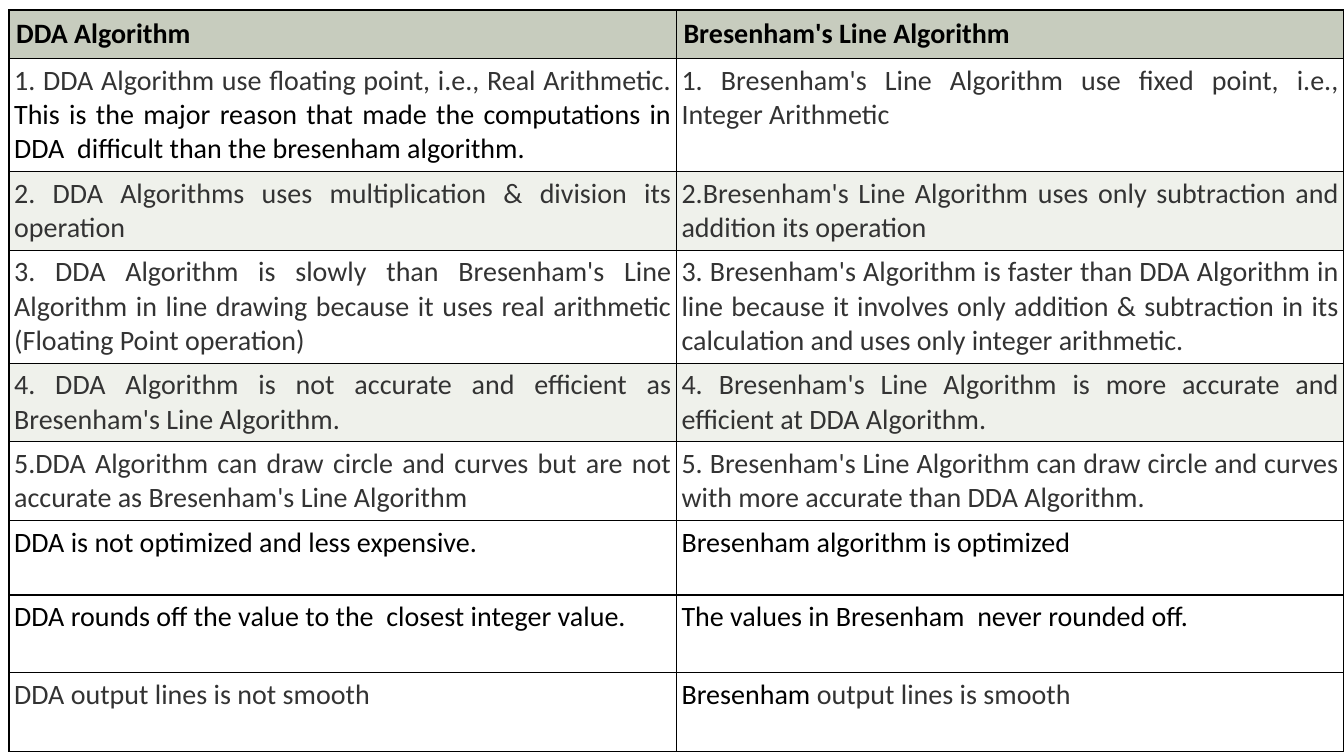
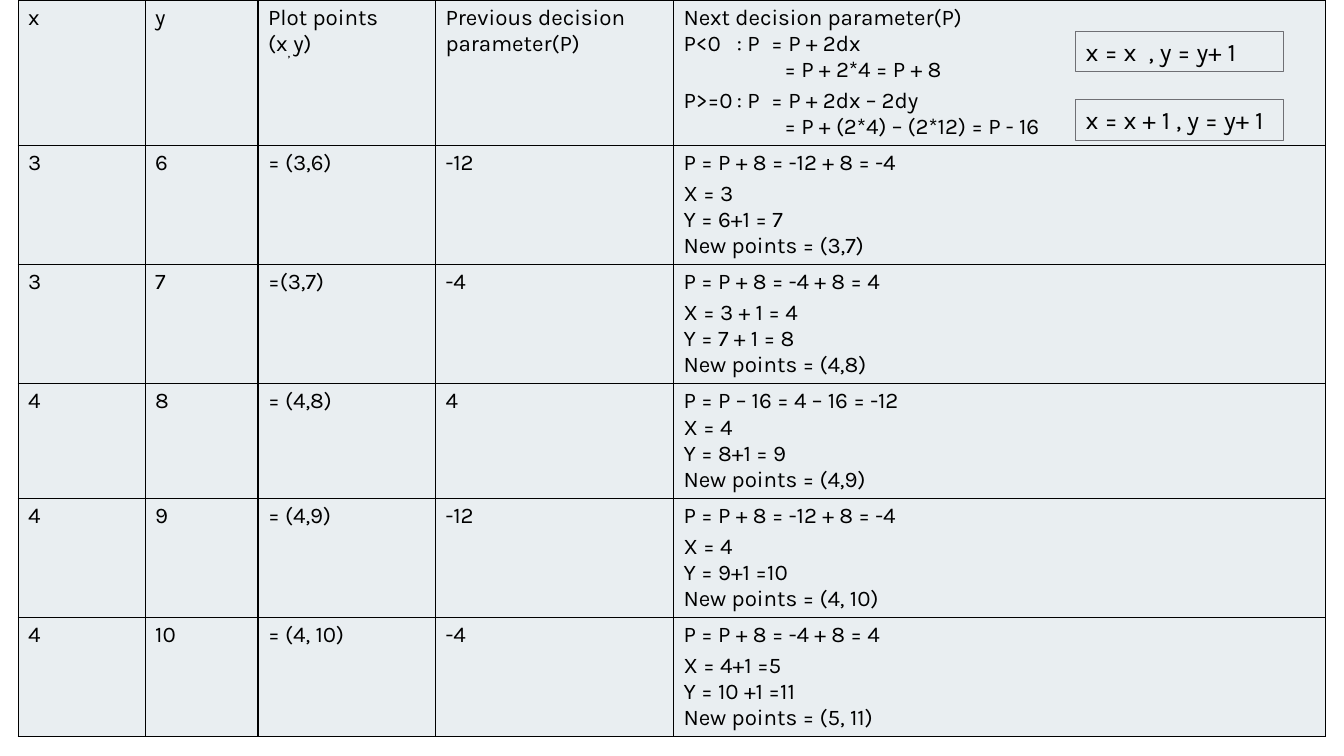
from pptx import Presentation
from pptx import util as u
from pptx.dml.color import RGBColor
from pptx.enum import shapes, text
from pptx.oxml.ns import qn
from lxml import etree

Inches, Pt = u.Inches, u.Pt

BLACK, GREY, WHITE = "000000", "333333", "FFFFFF"
HEADER_FILL, BAND_FILL, TRACE_FILL = "C7CCBE", "EFF1EB", "E9EEF1"
BOX_LINE = "6F6F74"

# Comparison: each cell is a list of (text, colour) spans
COMPARISON_HEADER = ["DDA Algorithm", "Bresenham's Line Algorithm"]
COMPARISON = [
    ([("1. DDA Algorithm use floating point, i.e., Real Arithmetic.", GREY),
      (" This is the major reason that made the computations in DDA  difficult "
       "than the bresenham algorithm.", BLACK)],
     [("1. Bresenham's Line Algorithm use fixed point, i.e., Integer Arithmetic", GREY)]),
    ([("2. DDA Algorithms uses multiplication & division its operation", GREY)],
     [("2.Bresenham's Line Algorithm uses only subtraction and addition its operation", GREY)]),
    ([("3. DDA Algorithm is slowly than Bresenham's Line Algorithm in line drawing "
       "because it uses real arithmetic (Floating Point operation)", GREY)],
     [("3. Bresenham's Algorithm is faster than DDA Algorithm in line because it involves "
       "only addition & subtraction in its calculation and uses only integer arithmetic.", GREY)]),
    ([("4. DDA Algorithm is not accurate and efficient as Bresenham's Line Algorithm.", GREY)],
     [("4. Bresenham's Line Algorithm is more accurate and efficient at DDA Algorithm.", GREY)]),
    ([("5.DDA Algorithm can draw circle and curves but are not accurate as "
       "Bresenham's Line Algorithm", GREY)],
     [("5. Bresenham's Line Algorithm can draw circle and curves with more accurate "
       "than DDA Algorithm.", GREY)]),
    ([("DDA is not optimized and less expensive.", BLACK)],
     [("Bresenham algorithm is optimized", BLACK)]),
    ([("DDA rounds off the value to the  closest integer value.", BLACK)],
     [("The values in Bresenham  never rounded off.", BLACK)]),
    ([("DDA output lines is not smooth", GREY)],
     [("Bresenham", BLACK), (" output lines is smooth", GREY)]),
]
COMPARISON_HEIGHTS = [0.48, 1.12, 0.77, 1.12, 0.77, 0.77, 0.74, 0.77, 0.78]
BANDED_ROWS = (2, 4)

# Trace: each cell is a list of lines
TRACE = [
    [["x"], ["y"], ["Plot points", "(x, y)"], ["Previous decision parameter(P)"],
     ["Next decision parameter(P)",
      "P<0\t: P\t= P + 2dx", "= P + 2*4 = P + 8",
      "P>=0\t: P\t= P + 2dx – 2dy", "= P + (2*4) – (2*12) = P - 16"]],
    [["3"], ["6"], ["= (3,6)"], ["-12"],
     ["P = P + 8 = -12 + 8 = -4", "X = 3", "Y = 6+1 = 7", "New points = (3,7)"]],
    [["3"], ["7"], ["=(3,7)"], ["-4"],
     ["P = P + 8 = -4 + 8 = 4", "X = 3 + 1 = 4", "Y = 7 + 1 = 8", "New points = (4,8)"]],
    [["4"], ["8"], ["= (4,8)"], ["4"],
     ["P = P – 16 = 4 – 16 = -12", "X = 4", "Y = 8+1 = 9", "New points = (4,9)"]],
    [["4"], ["9"], ["= (4,9)"], ["-12"],
     ["P = P + 8 = -12 + 8 = -4", "X = 4", "Y = 9+1 =10", "New points = (4, 10)"]],
    [["4"], ["10"], ["= (4, 10)"], ["-4"],
     ["P = P + 8 = -4 + 8 = 4", "X = 4+1 =5", "Y = 10 +1 =11", "New points = (5, 11)"]],
]
TRACE_WIDTHS = [1.26, 1.12, 1.76, 2.36, 6.47]
TRACE_HEIGHTS = [1.43, 1.17, 1.17, 1.14, 1.17, 1.17]
CASE_TABS = [0.53, 0.87]
RESULT_INDENT = 1.0
STEP_BOXES = [(0.31, "x = x  , y = y+ 1"), (0.99, "x = x + 1 , y = y+ 1")]


def color(value):
    return RGBColor.from_string(value)


def set_font(font, name, size, tint=BLACK, bold=False):
    font.name, font.size, font.bold = name, Pt(size), bold
    font.color.rgb = color(tint)


def style_cell(cell, fill, inset=None):
    """Thin black borders, a plain fill and optional even margins."""
    properties = cell._tc.get_or_add_tcPr()
    for side in ("a:lnL", "a:lnR", "a:lnT", "a:lnB"):
        border = etree.SubElement(properties, qn(side), w=str(Pt(1)))
        solid = etree.SubElement(border, qn("a:solidFill"))
        etree.SubElement(solid, qn("a:srgbClr"), val=BLACK)
    cell.fill.solid()
    cell.fill.fore_color.rgb = color(fill)
    if inset is not None:
        cell.margin_left = cell.margin_right = Inches(inset)
        cell.margin_top = cell.margin_bottom = Inches(inset)


def add_grid(page, left, top, widths, heights):
    frame = page.shapes.add_table(len(heights), len(widths), Inches(left), Inches(top),
                                  Inches(sum(widths)), Inches(sum(heights)))
    table = frame.table
    table.first_row = table.horz_banding = False
    for column, width in zip(table.columns, widths):
        column.width = Inches(width)
    for row, height in zip(table.rows, heights):
        row.height = Inches(height)
    return table


def build_comparison(page):
    table = add_grid(page, 0.09, 0.1, [6.62, 6.62], COMPARISON_HEIGHTS)
    header = [[(title, BLACK)] for title in COMPARISON_HEADER]
    for r, row in enumerate([header] + COMPARISON):
        is_header = r == 0
        fill = HEADER_FILL if is_header else BAND_FILL if r in BANDED_ROWS else WHITE
        for c, spans in enumerate(row):
            cell = table.cell(r, c)
            style_cell(cell, fill, 0.07 if is_header else 0.05)
            para = cell.text_frame.paragraphs[0]
            para.alignment = text.PP_ALIGN.JUSTIFY
            set_font(para.font, "Calibri", 20, bold=is_header)
            for words, tint in spans:
                span = para.add_run()
                span.text = words
                span.font.color.rgb = color(tint)


def write_trace_line(para, line, in_header):
    properties = para._p.get_or_add_pPr()
    if "\t" in line:
        tabs = etree.SubElement(properties, qn("a:tabLst"))
        for stop in CASE_TABS:
            etree.SubElement(tabs, qn("a:tab"), pos=str(Inches(stop)), algn="l")
    elif in_header and line.startswith("="):
        properties.set("marL", str(Inches(RESULT_INDENT)))
        properties.set("indent", "0")
    if "P + 8" in line:
        para.space_after = Pt(3)
    set_font(para.font, "Karla", 16)
    # The comma of the point pair is set as a subscript
    before, comma, after = line.partition(", ") if line == "(x, y)" else (line, "", "")
    for words in filter(None, (before, comma, after)):
        span = para.add_run()
        span.text = words
        if words == comma:
            span.font._element.set("baseline", "-25000")


def build_trace(page):
    table = add_grid(page, 0.18, 0, TRACE_WIDTHS, TRACE_HEIGHTS)
    for r, row in enumerate(TRACE):
        for c, lines in enumerate(row):
            cell = table.cell(r, c)
            style_cell(cell, TRACE_FILL)
            frame = cell.text_frame
            for i, line in enumerate(lines):
                para = frame.add_paragraph() if i else frame.paragraphs[0]
                write_trace_line(para, line, r == 0)

    # Step rules beside the two cases
    for top, rule in STEP_BOXES:
        box = page.shapes.add_shape(shapes.MSO_SHAPE.RECTANGLE, Inches(10.67), Inches(top),
                                    Inches(2.06), Inches(0.4))
        box.shadow.inherit = False
        box.fill.background()
        box.line.color.rgb = color(BOX_LINE)
        box.line.width = Pt(0.75)
        frame = box.text_frame
        frame.word_wrap = True
        frame.vertical_anchor = text.MSO_ANCHOR.TOP
        para = frame.paragraphs[0]
        para.alignment = text.PP_ALIGN.LEFT
        set_font(para.font, "Karla", 18)
        para.add_run().text = rule


def main():
    deck = Presentation()
    deck.slide_width, deck.slide_height = Inches(13.33), Inches(7.5)
    blank = deck.slide_layouts[6]
    for build in (build_comparison, build_trace):
        build(deck.slides.add_slide(blank))
    deck.save("out.pptx")


if __name__ == "__main__":
    main()
